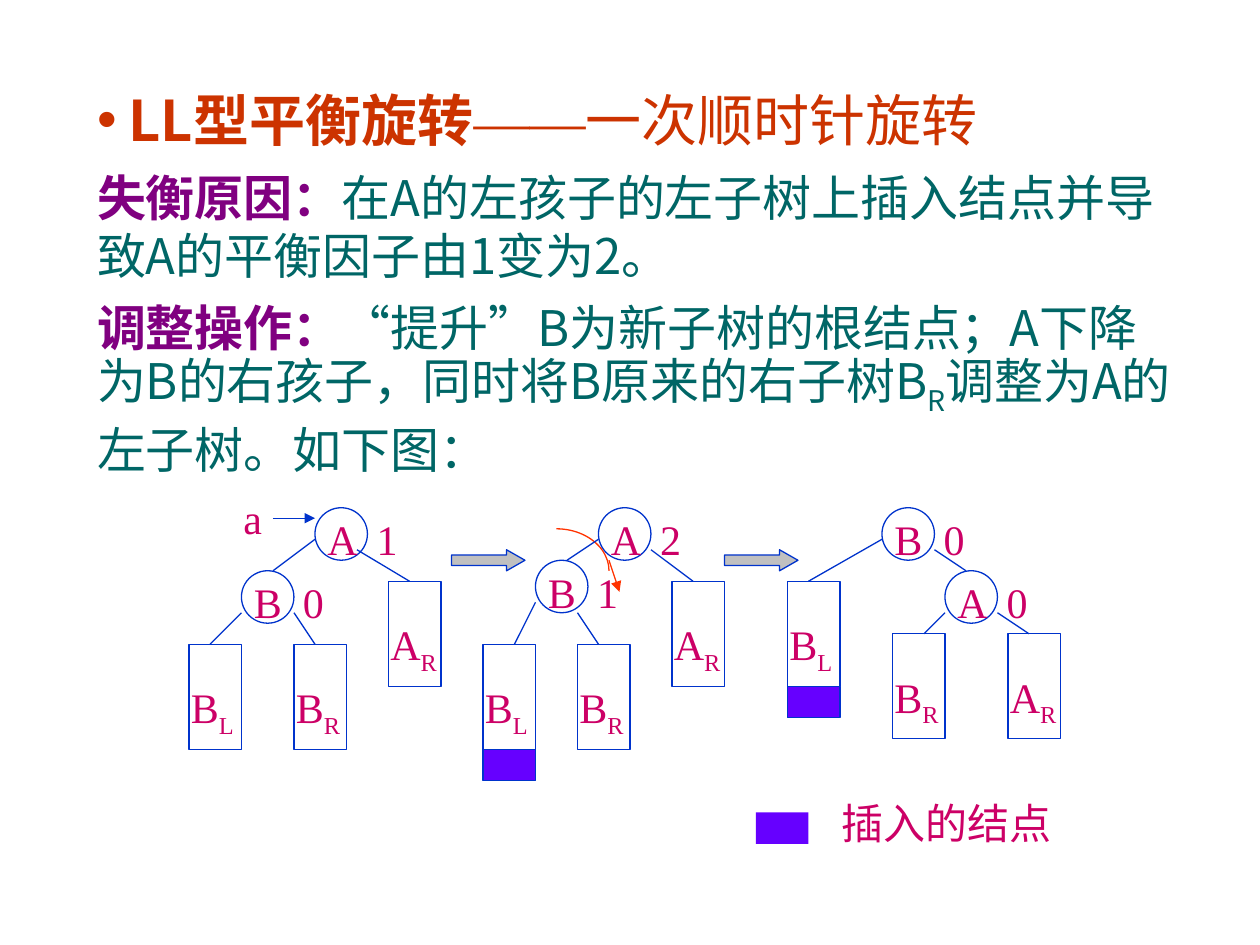
from lxml.etree import SubElement
from pptx import Presentation
from pptx.dml.color import RGBColor
from pptx.enum.shapes import MSO_CONNECTOR, MSO_SHAPE
from pptx.enum.text import MSO_ANCHOR, MSO_AUTO_SIZE
from pptx.oxml.ns import qn
from pptx.util import Inches, Pt

COLORS = {
    "heading": "CC3300", "term": "800080", "body": "006666", "label": "CC0066",
    "outline": "0033CC", "inserted": "6600FF", "step": "C0C0C0", "turn": "FF3300",
}
SANS, SERIF = "Noto Sans CJK JP", "Times New Roman"
UNIT = Inches(1) / 12
TREE_TOP = Inches(4.03)

deck = Presentation()
deck.slide_width, deck.slide_height = Inches(10), Inches(7.5)
slide = deck.slides.add_slide(deck.slide_layouts[1])
heading_slot = slide.shapes.title._element
heading_slot.getparent().remove(heading_slot)


def add_run(paragraph, text, size, color, font=SERIF, bold=False, subscript=False):
    run = paragraph.add_run()
    run.text = text
    run.font.size, run.font.bold, run.font.name = Pt(size), bold, font
    run.font.color.rgb = RGBColor.from_string(COLORS[color])
    properties = run.font._element
    SubElement(properties, qn("a:ea")).set("typeface", font)
    if subscript:
        properties.set("baseline", "-25000")


def place(col, row, cols, rows):
    return [round(n) for n in (col * UNIT, TREE_TOP + row * UNIT, cols * UNIT, rows * UNIT)]


explanation = slide.placeholders[1]
explanation.left, explanation.top = Inches(0.67), Inches(0.61)
explanation.width, explanation.height = Inches(8.83), Inches(7.26)
frame = explanation.text_frame
frame.word_wrap, frame.auto_size = True, MSO_AUTO_SIZE.NONE
frame.vertical_anchor = MSO_ANCHOR.TOP

passages = [
    (0, 40, 32, [("LL型平衡旋转", "heading", SANS, True),
                 ("——", "heading", SERIF),
                 ("一次顺时针旋转", "heading", SANS)]),
    (9, 33, 28, [("失衡原因：", "term", SANS, True),
                 ("在A的左孩子的左子树上插入结点并导致A的平衡因子由1变为2。", "body", SANS)]),
    (6, 35, 28, [("调整操作：", "term", SANS, True),
                 ("“提升”B为新子树的根结点；A下降为B的右孩子，同时将B原来的右子树B", "body", SANS),
                 ("R", "body", SANS, False, True),
                 ("调整为A的左子树。如下图：", "body", SANS)]),
]
for index, (before, pitch, size, runs) in enumerate(passages):
    paragraph = frame.paragraphs[0] if index == 0 else frame.add_paragraph()
    paragraph.space_before, paragraph.line_spacing = Pt(before), Pt(pitch)
    properties = paragraph._p.get_or_add_pPr()
    indent = Inches(0.25) if index == 0 else 0
    properties.set("marL", str(indent))
    properties.set("indent", str(-indent))
    if index == 0:
        bullet_color = SubElement(properties, qn("a:buClr"))
        SubElement(bullet_color, qn("a:srgbClr")).set("val", COLORS["heading"])
        SubElement(properties, qn("a:buChar")).set("char", "•")
    else:
        SubElement(properties, qn("a:buNone"))
    for text, color, *style in runs:
        add_run(paragraph, text, size, color, *style)

nodes = [
    (30, 0, "A", "1"), (23, 6, "B", "0"),
    (57, 0, "A", "2"), (51, 5, "B", "1"),
    (84, 0, "B", "0"), (90, 6, "A", "0"),
]
subtrees = [
    (18, 13, "B", "L"), (28, 13, "B", "R"), (37, 7, "A", "R"),
    (46, 13, "B", "L"), (55, 13, "B", "R"), (64, 7, "A", "R"),
    (75, 7, "B", "L"), (85, 12, "B", "R"), (96, 12, "A", "R"),
]
inserted_nodes = [(46, 23), (75, 17), (72, 29)]
legend_key = inserted_nodes[-1]
steps = [(43, 4), (69, 4)]

outlines = [(MSO_SHAPE.OVAL, col, row, 5, 5, None, "outline") for col, row, *_ in nodes]
outlines += [(MSO_SHAPE.RECTANGLE, col, row, 5, 10, None, "outline") for col, row, *_ in subtrees]
outlines += [(MSO_SHAPE.RECTANGLE, col, row, 5, 3, "inserted",
              None if (col, row) == legend_key else "outline") for col, row in inserted_nodes]
outlines += [(MSO_SHAPE.RIGHT_ARROW, col, row, 7, 2, "step", "outline") for col, row in steps]
outlines.append((MSO_SHAPE.ARC, 48, 2, 10, 8, None, "turn"))
for kind, col, row, cols, rows, fill, line in outlines:
    shape = slide.shapes.add_shape(kind, *place(col, row, cols, rows))
    shape.shadow.inherit = False
    if fill:
        shape.fill.solid()
        shape.fill.fore_color.rgb = RGBColor.from_string(COLORS[fill])
    else:
        shape.fill.background()
    if line:
        shape.line.color.rgb = RGBColor.from_string(COLORS[line])
        shape.line.width = Pt(0.75)
    else:
        shape.line.fill.background()
    if kind == MSO_SHAPE.RIGHT_ARROW:
        shape.adjustments[1] = 0.875

branches = [
    (30, 3, 26, 6), (23, 10, 20, 13), (28, 10, 30, 13), (34, 4, 39, 7),
    (57, 3, 54, 5), (51, 9, 49, 13), (55, 10, 57, 13), (62, 4, 66, 7),
    (84, 3, 77, 7), (89, 4, 92, 6), (90, 10, 88, 12), (95, 10, 98, 12),
]
links = [(*branch, "outline", False) for branch in branches]
links += [(26, 1, 30, 1, "outline", True), (58, 5, 59, 8, "turn", True)]
for col, row, end_col, end_row, color, arrow in links:
    start, end = place(col, row, 0, 0)[:2], place(end_col, end_row, 0, 0)[:2]
    link = slide.shapes.add_connector(MSO_CONNECTOR.STRAIGHT, *start, *end)
    link.line.color.rgb = RGBColor.from_string(COLORS[color])
    link.line.width = Pt(0.75)
    if arrow:
        SubElement(link.line._get_or_add_ln(), qn("a:tailEnd")).set("type", "triangle")
    SubElement(link._element.spPr, qn("a:effectLst"))

labels = [(col, row, 11, 6, [(f"{name}\t{balance}", SERIF)]) for col, row, name, balance in nodes]
labels += [(col - 1, row + 3, 8, 6.7, [(name, SERIF), (side, SERIF, False, True)])
           for col, row, name, side in subtrees]
labels += [(22, -2, 5, 6, [("a", SERIF)]), (79, 27, 24, 6, [("插入的结点", SANS)])]
for col, row, cols, rows, runs in labels:
    label = slide.shapes.add_textbox(*place(col, row, cols, rows))
    label.text_frame.word_wrap = True
    paragraph = label.text_frame.paragraphs[0]
    tab_list = SubElement(paragraph._p.get_or_add_pPr(), qn("a:tabLst"))
    balance_tab = SubElement(tab_list, qn("a:tab"))
    balance_tab.set("pos", str(Inches(0.39)))
    balance_tab.set("algn", "l")
    for text, *style in runs:
        add_run(paragraph, text, 24, "label", *style)

deck.save("out.pptx")
